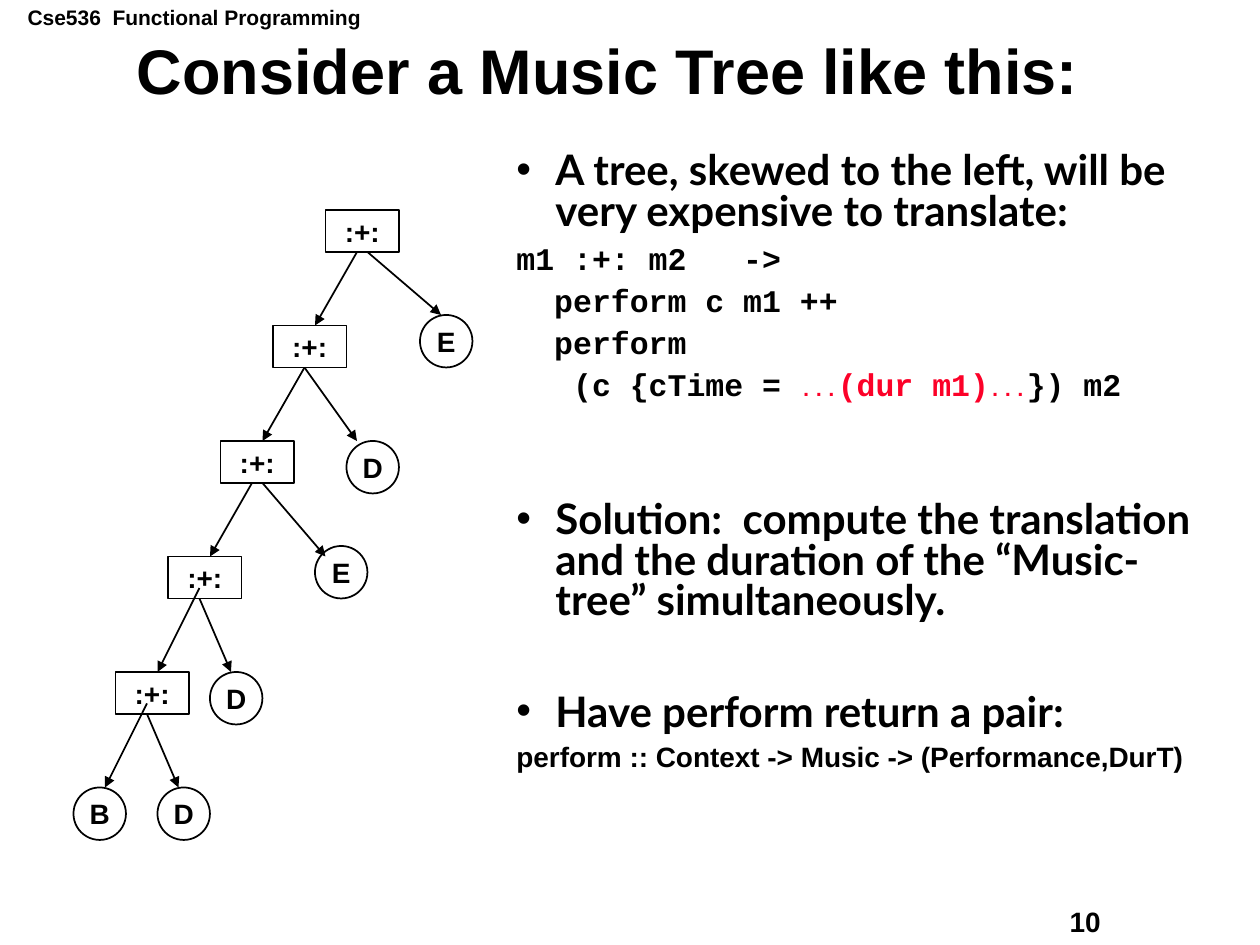
from typing import NamedTuple

from pptx import Presentation
from pptx.dml.color import RGBColor
from pptx.enum.shapes import MSO_CONNECTOR, MSO_SHAPE
from pptx.enum.text import MSO_ANCHOR, PP_ALIGN
from pptx.oxml.ns import qn
from pptx.util import Inches, Pt
from lxml.etree import SubElement

COLORS = {"ink": "000000", "paper": "FFFFFF", "accent": "FC0128"}
UNIT = 1 / 12
LEVEL_DX, LEVEL_DY = -5, 11
HANGING = Inches(0.31)


class Point(NamedTuple):
    x: float
    y: float


class Level(NamedTuple):
    leaf: str
    leaf_at: Point
    left_start: Point
    right_start: Point
    right_end: Point


class Line(NamedTuple):
    spans: list[tuple[str, int, str]]
    font: str
    before: float
    bullet: bool = False


LEVELS = [
    Level("E", Point(40, 30), Point(34, 24), Point(35, 24), Point(42, 30)),
    Level("D", Point(33, 42), Point(29, 35), Point(29, 35), Point(34, 42)),
    Level("E", Point(30, 52), Point(24, 46), Point(25, 46), Point(31, 53)),
    Level("D", Point(20, 64), Point(19, 56), Point(19, 57), Point(22, 64)),
    Level("D", Point(15, 75), Point(14, 67), Point(14, 68), Point(17, 75)),
]


def point_line(text: str, before: float = 0) -> Line:
    """Return a bulleted statement."""
    return Line([(text, 24, "ink")], "Lato", before, True)


def code_line(*spans: tuple[str, int, str]) -> Line:
    """Return a line of code made of one or more spans."""
    return Line(list(spans), "Courier New", 6.8)


BODY = [
    point_line("A tree, skewed to the left, will be very expensive to translate:"),
    code_line(("m1 :+: m2   ->", 18, "ink")),
    code_line(("  perform c m1 ++", 18, "ink")),
    code_line(("  perform", 18, "ink")),
    code_line(
        ("   (c {cTime = ", 18, "ink"),
        ("...", 12, "accent"),
        ("(dur m1)", 18, "accent"),
        ("...", 12, "accent"),
        ("}) m2", 18, "ink"),
    ),
    point_line(
        "Solution:  compute the translation and the duration of the “Music-tree” simultaneously.",
        57,
    ),
    point_line("Have perform return a pair:", 41),
    Line([("perform :: Context -> Music -> (Performance,DurT)", 16, "ink")], "Arial", 6),
]


def rgb(name: str) -> RGBColor:
    """Look up a colour by name."""
    return RGBColor.from_string(COLORS[name])


def write(paragraph, text: str, *, size: int, font: str = "Arial", color: str = "ink",
          align=PP_ALIGN.LEFT, spacing: float = 1.0) -> None:
    """Append a bold run and set the alignment and line spacing of its paragraph."""
    paragraph.alignment = align
    paragraph.line_spacing = spacing
    run = paragraph.add_run()
    run.text = text
    run.font.size = Pt(size)
    run.font.name = font
    run.font.bold = True
    run.font.color.rgb = rgb(color)


def add_box(slide, left: float, top: float, width: float, height: float):
    """Add a wrapping text box and return its text frame."""
    frame = slide.shapes.add_textbox(
        Inches(left), Inches(top), Inches(width), Inches(height)).text_frame
    frame.word_wrap = True
    return frame


def add_body_line(paragraph, line: Line) -> None:
    """Lay out one hanging paragraph of the body."""
    properties = paragraph._p.get_or_add_pPr()
    properties.set("marL", str(HANGING))
    properties.set("indent", str(-HANGING))
    if line.bullet:
        SubElement(properties, qn("a:buFont")).set("typeface", "Arial")
        SubElement(properties, qn("a:buChar")).set("char", "•")
    else:
        SubElement(properties, qn("a:buNone"))
    paragraph.space_before = Pt(line.before)
    for text, size, color in line.spans:
        write(paragraph, text, size=size, font=line.font, color=color, spacing=0.8)


def add_node(slide, kind: MSO_SHAPE, at: Point, size: Point, label: str) -> None:
    """Draw a labelled tree node, measured in grid units."""
    node = slide.shapes.add_shape(kind, *(Inches(n * UNIT) for n in (*at, *size)))
    node.shadow.inherit = False
    node.fill.solid()
    node.fill.fore_color.rgb = rgb("paper")
    node.line.color.rgb = rgb("ink")
    node.line.width = Pt(1)
    frame = node.text_frame
    frame.word_wrap = False
    frame.vertical_anchor = MSO_ANCHOR.MIDDLE
    write(frame.paragraphs[0], label, size=16, align=PP_ALIGN.CENTER)


def add_leaf(slide, at: Point, label: str) -> None:
    """Draw a round leaf."""
    add_node(slide, MSO_SHAPE.OVAL, at, Point(5, 5), label)


def add_arrow(slide, start: Point, end: Point) -> None:
    """Draw an arrow between two grid points."""
    arrow = slide.shapes.add_connector(
        MSO_CONNECTOR.STRAIGHT, *(Inches(n * UNIT) for n in (*start, *end)))
    arrow.line.color.rgb = rgb("ink")
    arrow.line.width = Pt(1)
    SubElement(arrow.line._get_or_add_ln(), qn("a:tailEnd")).set("type", "triangle")
    SubElement(arrow._element.spPr, qn("a:effectLst"))


def add_tree(slide) -> None:
    """Draw the left-skewed tree, nodes first and arrows above them."""
    for depth, level in enumerate(LEVELS):
        corner = Point(31 + LEVEL_DX * depth, 20 + LEVEL_DY * depth)
        add_node(slide, MSO_SHAPE.RECTANGLE, corner, Point(7, 4), ":+:")
        add_leaf(slide, level.leaf_at, level.leaf)
    add_leaf(slide, Point(7, 75), "B")
    for depth, level in enumerate(LEVELS):
        left_end = Point(30 + LEVEL_DX * depth, 31 + LEVEL_DY * depth)
        add_arrow(slide, level.left_start, left_end)
        add_arrow(slide, level.right_start, level.right_end)


def main() -> None:
    """Build the slide and save it."""
    deck = Presentation()
    deck.slide_width, deck.slide_height = Inches(10), Inches(7.5)
    slide = deck.slides.add_slide(deck.slide_layouts[6])

    course = add_box(slide, 0.12, -0.01, 2.95, 0.3)
    write(course.paragraphs[0], "Cse536  Functional Programming", size=12)
    page_number = add_box(slide, 8.39, 7.13, 1.27, 0.36)
    write(page_number.paragraphs[0], "10", size=16)

    title = add_box(slide, 0.31, 0.31, 9.03, 0.56)
    title.vertical_anchor = MSO_ANCHOR.MIDDLE
    write(title.paragraphs[0], "Consider a Music Tree like this:", size=36,
          align=PP_ALIGN.CENTER, spacing=0.9)

    body = add_box(slide, 4, 1.17, 5.58, 5.96)
    for index, line in enumerate(BODY):
        add_body_line(body.add_paragraph() if index else body.paragraphs[0], line)

    add_tree(slide)
    deck.save("out.pptx")


if __name__ == "__main__":
    main()
